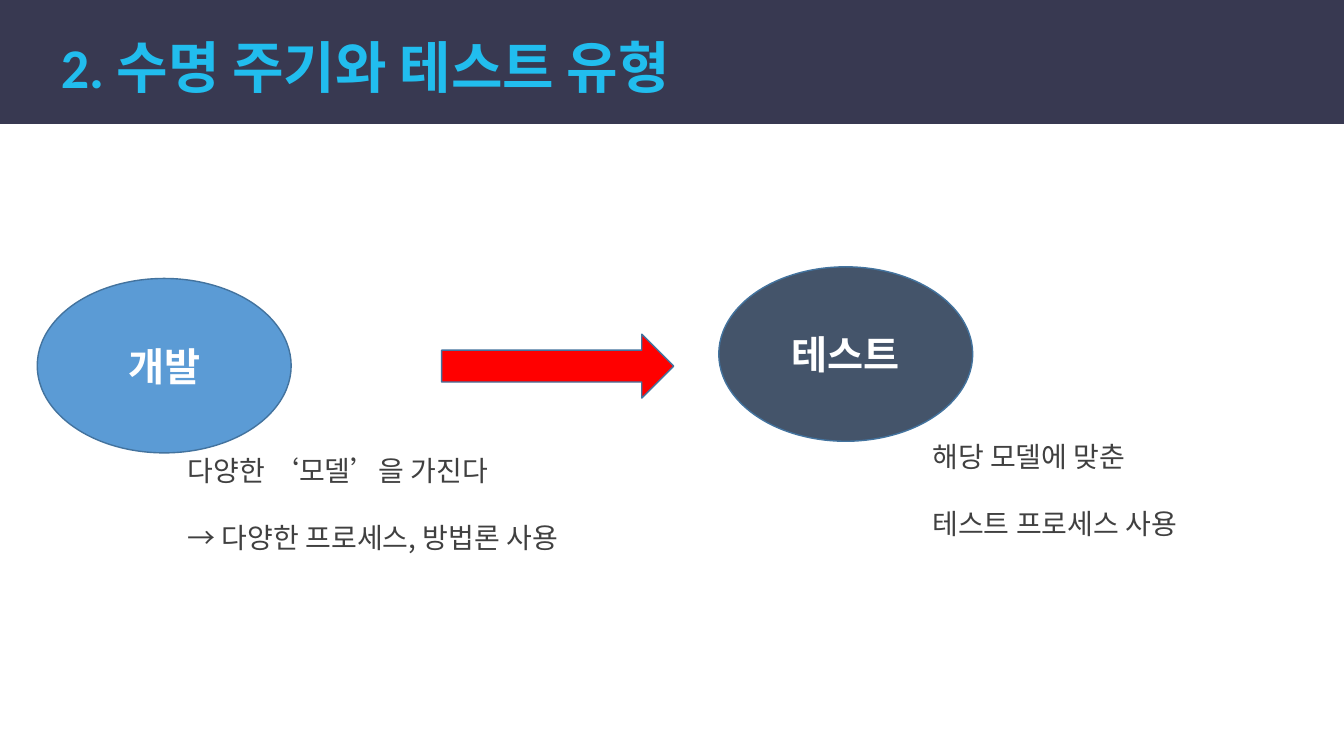
from typing import NamedTuple

from lxml.etree import SubElement
from pptx import Presentation
from pptx.dml.color import RGBColor
from pptx.enum.shapes import MSO_SHAPE
from pptx.enum.text import MSO_ANCHOR, PP_ALIGN
from pptx.oxml.ns import qn
from pptx.shapes.autoshape import Shape
from pptx.slide import Slide
from pptx.text.text import _Run
from pptx.util import Pt

NAVY = RGBColor(0x38, 0x39, 0x51)
CYAN = RGBColor(0x21, 0xBD, 0xEE)
BLUE = RGBColor(0x5B, 0x9B, 0xD5)
SLATE = RGBColor(0x44, 0x54, 0x6A)
OUTLINE = RGBColor(0x43, 0x73, 0x9E)
RED = RGBColor(0xFF, 0x00, 0x00)
WHITE = RGBColor(0xFF, 0xFF, 0xFF)
GRAY = RGBColor(0x40, 0x40, 0x40)
LATIN_FONT = "Calibri"
KOREAN_FONT = "Noto Sans CJK KR"


class Box(NamedTuple):
    left: float
    top: float
    width: float
    height: float


class Activity(NamedTuple):
    name: str
    fill: RGBColor
    oval: Box
    captions: list[str]
    caption_box: Box


ACTIVITIES = [
    Activity("개발", BLUE, Box(26.6, 198.9, 181.4, 124.6),
             ["다양한 ‘모델’을 가진다", "→ 다양한 프로세스, 방법론 사용"],
             Box(133.9, 324, 301.7, 72.7)),
    Activity("테스트", SLATE, Box(513.4, 190.6, 181.4, 124.6),
             ["해당 모델에 맞춘", "테스트 프로세스 사용"],
             Box(666, 313.9, 195.8, 72.7)),
]


def style_run(r: _Run, font: str, size: float, color: RGBColor, bold: bool = False) -> None:
    r.font.name = font
    r.font.size = Pt(size)
    r.font.bold = bold
    r.font.color.rgb = color
    SubElement(r.font._element, qn("a:ea"), typeface=KOREAN_FONT)


def add_filled(s: Slide, kind: MSO_SHAPE, box: Box, fill: RGBColor, outlined: bool = True) -> Shape:
    sp = s.shapes.add_shape(kind, *map(Pt, box))
    sp.shadow.inherit = False
    sp.fill.solid()
    sp.fill.fore_color.rgb = fill
    if outlined:
        sp.line.color.rgb = OUTLINE
        sp.line.width = Pt(1)
    else:
        sp.line.fill.background()
    return sp


def add_text_box(s: Slide, box: Box) -> Shape:
    """Add a wrapping text box without inner margins."""
    sp = s.shapes.add_textbox(*map(Pt, box))
    tf = sp.text_frame
    tf.word_wrap = True
    tf.margin_left = tf.margin_top = tf.margin_right = tf.margin_bottom = 0
    return sp


def add_title(s: Slide) -> None:
    tf = add_text_box(s, Box(43.5, 28, 480, 44)).text_frame
    tf.vertical_anchor = MSO_ANCHOR.MIDDLE
    p = tf.paragraphs[0]
    p.line_spacing = 0.9
    for text, font in (("2. 수명 주기와 ", LATIN_FONT), ("테스트 유형", KOREAN_FONT)):
        r = p.add_run()
        r.text = text
        style_run(r, font, 40, CYAN, bold=True)


def add_activity(s: Slide, activity: Activity) -> None:
    tf = add_filled(s, MSO_SHAPE.OVAL, activity.oval, activity.fill).text_frame
    tf.text = activity.name
    tf.vertical_anchor = MSO_ANCHOR.MIDDLE
    p = tf.paragraphs[0]
    p.alignment = PP_ALIGN.CENTER
    style_run(p.runs[0], LATIN_FONT, 28, WHITE, bold=True)

    tf = add_text_box(s, activity.caption_box).text_frame
    tf.text = "\n".join(activity.captions)
    for i, p in enumerate(tf.paragraphs):
        p.line_spacing = Pt(24)
        p.space_before = Pt(24 if i else 0)
        style_run(p.runs[0], KOREAN_FONT, 20, GRAY)


def main() -> None:
    prs = Presentation()
    prs.slide_width, prs.slide_height = Pt(960), Pt(540)
    s = prs.slides.add_slide(prs.slide_layouts[6])
    add_filled(s, MSO_SHAPE.RECTANGLE, Box(0, 0, 960, 88.6), NAVY, outlined=False)
    add_title(s)
    for activity in ACTIVITIES:
        add_activity(s, activity)
    add_filled(s, MSO_SHAPE.RIGHT_ARROW, Box(315.4, 238.7, 165.8, 45.6), RED)
    prs.save("out.pptx")


if __name__ == "__main__":
    main()
